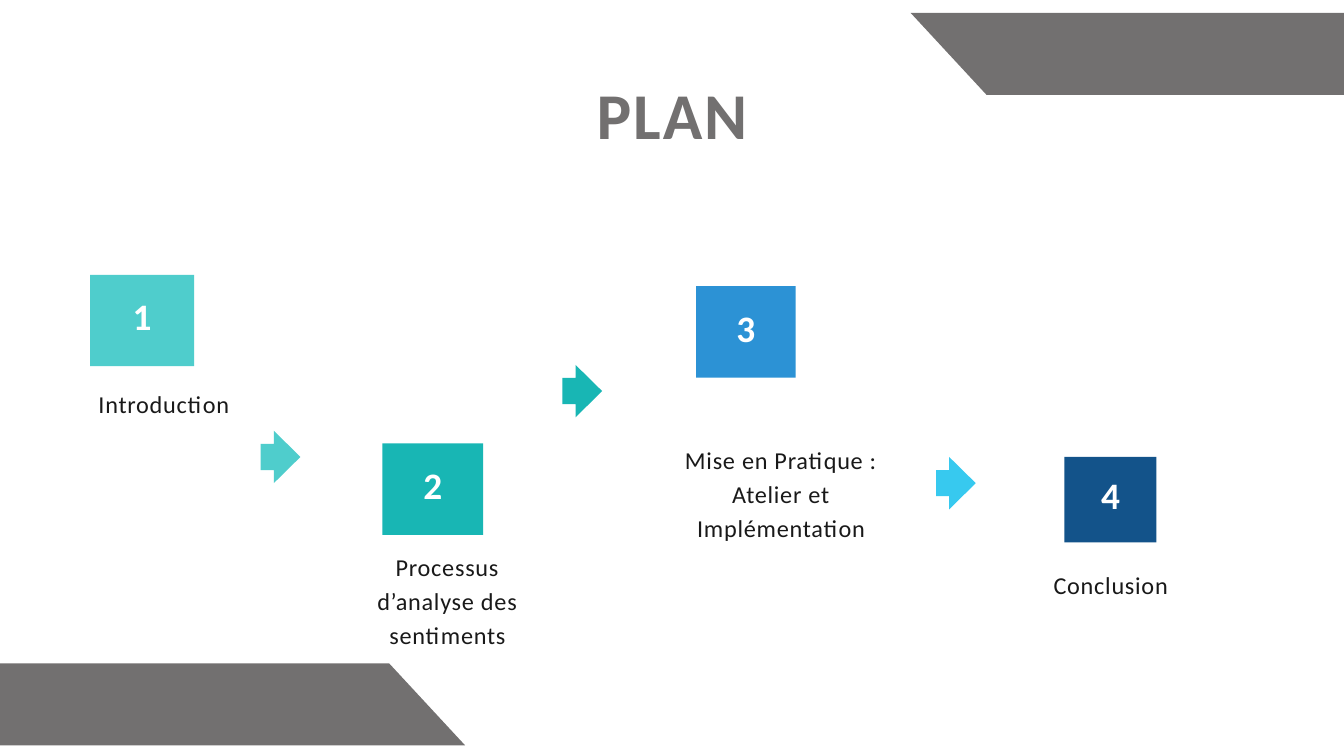
import pptx
import pptx.util
import pptx.dml.color
import pptx.enum.shapes
import pptx.enum.text

PX = 9144
FONT = "Calibri"
COLORS = {
    "gray": "727070",
    "ink": "191919",
    "white": "FFFFFF",
    "aqua": "4FCDCC",
    "teal": "18B6B4",
    "blue": "2C92D5",
    "sky": "37C9EF",
    "navy": "13538A",
}
MSO_SHAPE = pptx.enum.shapes.MSO_SHAPE
ANCHOR = pptx.enum.text.MSO_ANCHOR


def rgb(color):
    return pptx.dml.color.RGBColor.from_string(COLORS[color])


def write(shape, text, *, size, color, leading, spacing, bold=False,
          anchor=ANCHOR.TOP, insets=(0, 0, 0, 0)):
    frame = shape.text_frame
    frame.word_wrap = True
    frame.auto_size = pptx.enum.text.MSO_AUTO_SIZE.NONE
    frame.vertical_anchor = anchor
    (frame.margin_left, frame.margin_top,
     frame.margin_right, frame.margin_bottom) = [inset * PX for inset in insets]
    paragraph = frame.paragraphs[0]
    paragraph.alignment = pptx.enum.text.PP_ALIGN.CENTER
    paragraph.line_spacing = pptx.util.Pt(leading)
    paragraph.space_before = pptx.util.Pt(0)
    run = paragraph.add_run()
    run.text = text
    run.font.name = FONT
    run.font.size = pptx.util.Pt(size)
    run.font.bold = bold
    run.font.color.rgb = rgb(color)
    run._r.get_or_add_rPr().set("spc", str(spacing))


class PlanSlide:
    def __init__(self, slide):
        self.slide = slide

    def paint(self, shape, color):
        shape.shadow.inherit = False
        shape.fill.solid()
        shape.fill.fore_color.rgb = rgb(color)
        shape.line.fill.background()
        return shape

    def preset(self, kind, left, top, width, height, color):
        box = [length * PX for length in (left, top, width, height)]
        return self.paint(self.slide.shapes.add_shape(kind, *box), color)

    def title(self, text, left, top, width, height):
        heading = self.slide.shapes.title
        heading.left, heading.top = left * PX, top * PX
        heading.width, heading.height = width * PX, height * PX
        write(heading, text, size=70, color="gray", leading=91.7, spacing=210, bold=True)

    def number(self, text, left, top, width, height, color):
        square = self.preset(MSO_SHAPE.RECTANGLE, left, top, width, height, color)
        write(square, text, size=40, color="white", leading=56, spacing=120, bold=True,
              anchor=ANCHOR.MIDDLE, insets=(6, 6, 6, 31))

    def label(self, text, left, top, width, height):
        box = [length * PX for length in (left, top, width, height)]
        write(self.slide.shapes.add_textbox(*box), text,
              size=26, color="ink", leading=36.4, spacing=80)

    def arrow(self, left, top, color):
        arrow = self.preset(MSO_SHAPE.RIGHT_ARROW, left, top, 59, 78, color)
        arrow.adjustments[0] = 0.5
        arrow.adjustments[1] = 0.67

    def band(self, left, top):
        width, height, slant = 930, 122, 113
        outline = self.slide.shapes.build_freeform(left, top, scale=PX)
        outline.add_line_segments([
            (left + width, top),
            (left + width + slant, top + height),
            (left + slant, top + height),
        ])
        self.paint(outline.convert_to_shape(), "gray")


def main():
    deck = pptx.Presentation()
    deck.slide_width, deck.slide_height = 2000 * PX, 1125 * PX
    plan = PlanSlide(deck.slides.add_slide(deck.slide_layouts[5]))

    steps = [
        ((134, 409, 155, 136), "aqua", "Introduction", (112, 572, 264, 49)),
        ((569, 660, 150, 136), "teal", "Processus d’analyse des sentiments",
         (534, 814, 264, 149)),
        ((1036, 426, 148, 136), "blue", "Mise en Pratique : Atelier et Implémentation",
         (1000, 655, 325, 149)),
        ((1584, 680, 137, 127), "navy", "Conclusion", (1521, 842, 264, 49)),
    ]
    for index, (square, color, topic, place) in enumerate(steps, 1):
        plan.number(str(index), *square, color)
        plan.label(topic, *place)

    for left, top, color in [(388, 641, "aqua"), (837, 543, "teal"), (1393, 680, "sky")]:
        plan.arrow(left, top, color)

    plan.title("PLAN", 388, 100, 1224, 123)
    for left, top in [(1355, 19), (-351, 987)]:
        plan.band(left, top)

    deck.save("out.pptx")


if __name__ == "__main__":
    main()
